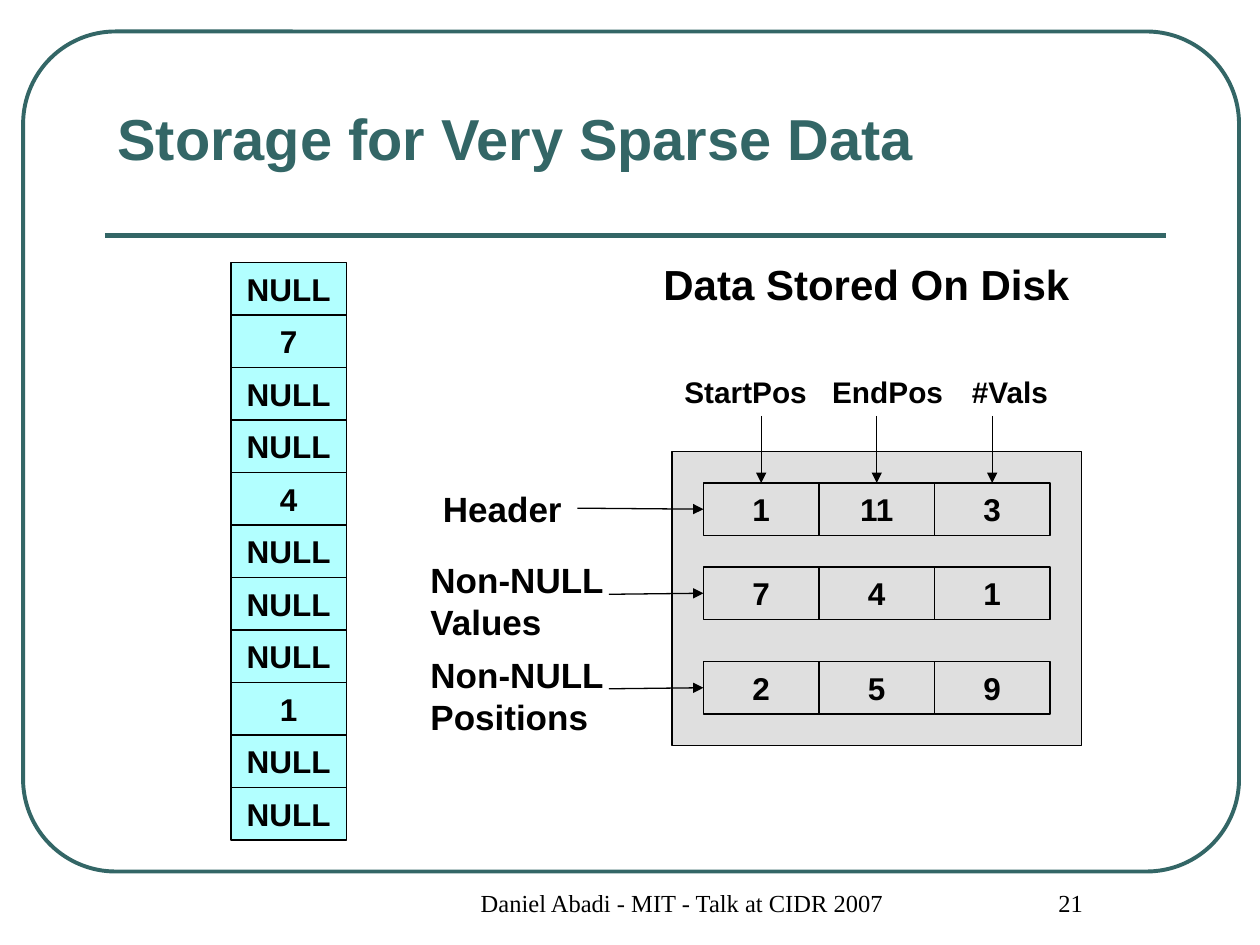
from lxml import etree
from pptx import Presentation
from pptx import util as u
from pptx.dml.color import RGBColor
from pptx.enum import shapes, text
from pptx.oxml import ns

PX = 7620  # 120 px to the inch
TEAL, BLACK, CYAN, GRAY = "336666", "000000", "00FFFF", "C0C0C0"
CELL_W, CELL_H = 110, 50
LEFT, CENTER, RIGHT = text.PP_ALIGN.LEFT, text.PP_ALIGN.CENTER, text.PP_ALIGN.RIGHT


def px(*lengths):
    return [u.Emu(length * PX) for length in lengths]


def paint(color_format, color):
    color_format.rgb = RGBColor.from_string(color)


def style_line(line, color=BLACK, width=0.75):
    paint(line.color, color)
    line.width = u.Pt(width)


def write(frame, words, size, align=LEFT, color=BLACK, font="Arial", bold=True,
          anchor=text.MSO_ANCHOR.TOP, wrap=True, insets=(12, 6, 12, 6)):
    frame.text = words
    frame.word_wrap = wrap
    frame.vertical_anchor = anchor
    (frame.margin_left, frame.margin_top,
     frame.margin_right, frame.margin_bottom) = px(*insets)
    para = frame.paragraphs[0]
    para.alignment = align
    for span in para.runs:
        span.font.name, span.font.size, span.font.bold = font, u.Pt(size), bold
        paint(span.font.color, color)


def add_label(page, box, words, size, **style):
    write(page.shapes.add_textbox(*px(*box)).text_frame, words, size, **style)


def add_box(page, box, fill=None, opacity=100, kind=shapes.MSO_SHAPE.RECTANGLE):
    shape = page.shapes.add_shape(kind, *px(*box))
    shape.shadow.inherit = False
    style_line(shape.line)
    if fill:
        shape.fill.solid()
        paint(shape.fill.fore_color, fill)
        color = shape.fill._xPr.find(".//" + ns.qn("a:srgbClr"))
        etree.SubElement(color, ns.qn("a:alpha"), val=str(opacity * 1000))
    else:
        shape.fill.background()
    return shape


def add_line(page, start, end, color=BLACK, width=0.75):
    line = page.shapes.add_connector(shapes.MSO_CONNECTOR.STRAIGHT, *px(*start, *end))
    style_line(line.line, color, width)
    etree.SubElement(line._element.spPr, ns.qn("a:effectLst"))
    return line


def add_arrow(page, start, target, side):
    """Arrow from a point to the middle of a side of the target."""
    arrow = add_line(page, start, start)
    arrow.end_connect(target, side)
    etree.SubElement(arrow.line._get_or_add_ln(), ns.qn("a:tailEnd"), type="triangle")


def add_cells(page, left, top, values, step_x=0, step_y=0, **fill):
    """Run of equal cells, each one step further than the last."""
    cells = []
    for i, value in enumerate(values):
        cell = add_box(page, (left + i * step_x, top + i * step_y, CELL_W, CELL_H), **fill)
        write(cell.text_frame, value, 18, align=CENTER,
              anchor=text.MSO_ANCHOR.MIDDLE, wrap=False)
        cells.append(cell)
    return cells


def add_frame(page, left, top, width, height):
    frame = add_box(page, (left, top, width, height),
                    kind=shapes.MSO_SHAPE.ROUNDED_RECTANGLE)
    frame.adjustments[0] = 0.11
    style_line(frame.line, TEAL, 2.25)
    rule_left, rule_y = left + 78, top + 194
    add_line(page, (rule_left, rule_y), (rule_left + 1010, rule_y), TEAL, 3)
    add_label(page, (rule_left, top + 10, 880, 130), "Storage for Very Sparse Data", 33,
              color=TEAL, anchor=text.MSO_ANCHOR.BOTTOM)


def add_sparse_column(page, left, top):
    values = ["NULL", "7", "NULL", "NULL", "4", "NULL",
              "NULL", "NULL", "1", "NULL", "NULL"]
    add_cells(page, left, top, values, step_y=CELL_H, fill=CYAN, opacity=30)


def add_disk(page, left, top, width, height):
    """Disk block with its heading, three rows and their labels."""
    add_box(page, (left, top, width, height), GRAY, 50)
    add_label(page, (left - 20, top - 190, 440, 60), "Data Stored On Disk", 24)

    tight = (0, 12, 0, 0)
    rows = [
        # row top, values, label, label top, label size, insets, arrow x, arrow y
        (30, ["1", "11", "3"], "Header", 28, (140, 53), (12, 6, 12, 6), -90, 54),
        (110, ["7", "4", "1"], "Non-NULL Values", 90, (170, 92), tight, -60, 136),
        (200, ["2", "5", "9"], "Non-NULL Positions", 180, (170, 92), tight, -60, 226),
    ]
    grid = []
    for row_top, values, label, label_top, size, insets, arrow_x, arrow_y in rows:
        cells = add_cells(page, left + 30, top + row_top, values, step_x=CELL_W)
        add_label(page, (left - 230, top + label_top, *size), label, 20, insets=insets)
        add_arrow(page, (left + arrow_x, top + arrow_y), cells[0], 1)
        grid.append(cells)

    fields = [("StartPos", 0, 170, LEFT), ("EndPos", 120, 150, RIGHT),
              ("#Vals", 240, 130, RIGHT)]
    for i, (name, offset, label_width, align) in enumerate(fields):
        add_label(page, (left + offset, top - 80, label_width, 47), name, 17, align=align)
        center = left + 30 + i * CELL_W + CELL_W // 2
        add_arrow(page, (center, top - 34), grid[0][i], 0)


def add_footer(page, top, height):
    for left, width, words in [(380, 510, "Daniel Abadi - MIT - Talk at CIDR 2007"),
                               (900, 210, "21")]:
        add_label(page, (left, top, width, height), words, 14, align=CENTER,
                  font="Times New Roman", bold=False, insets=(41, 6, 12, 6))


def main():
    deck = Presentation()
    deck.slide_width, deck.slide_height = px(1200, 900)
    page = deck.slides.add_slide(deck.slide_layouts[6])
    add_frame(page, 22, 30, 1158, 800)
    add_sparse_column(page, 220, 250)
    add_disk(page, 640, 430, 390, 280)
    add_footer(page, 840, 60)
    deck.save("out.pptx")


if __name__ == "__main__":
    main()
